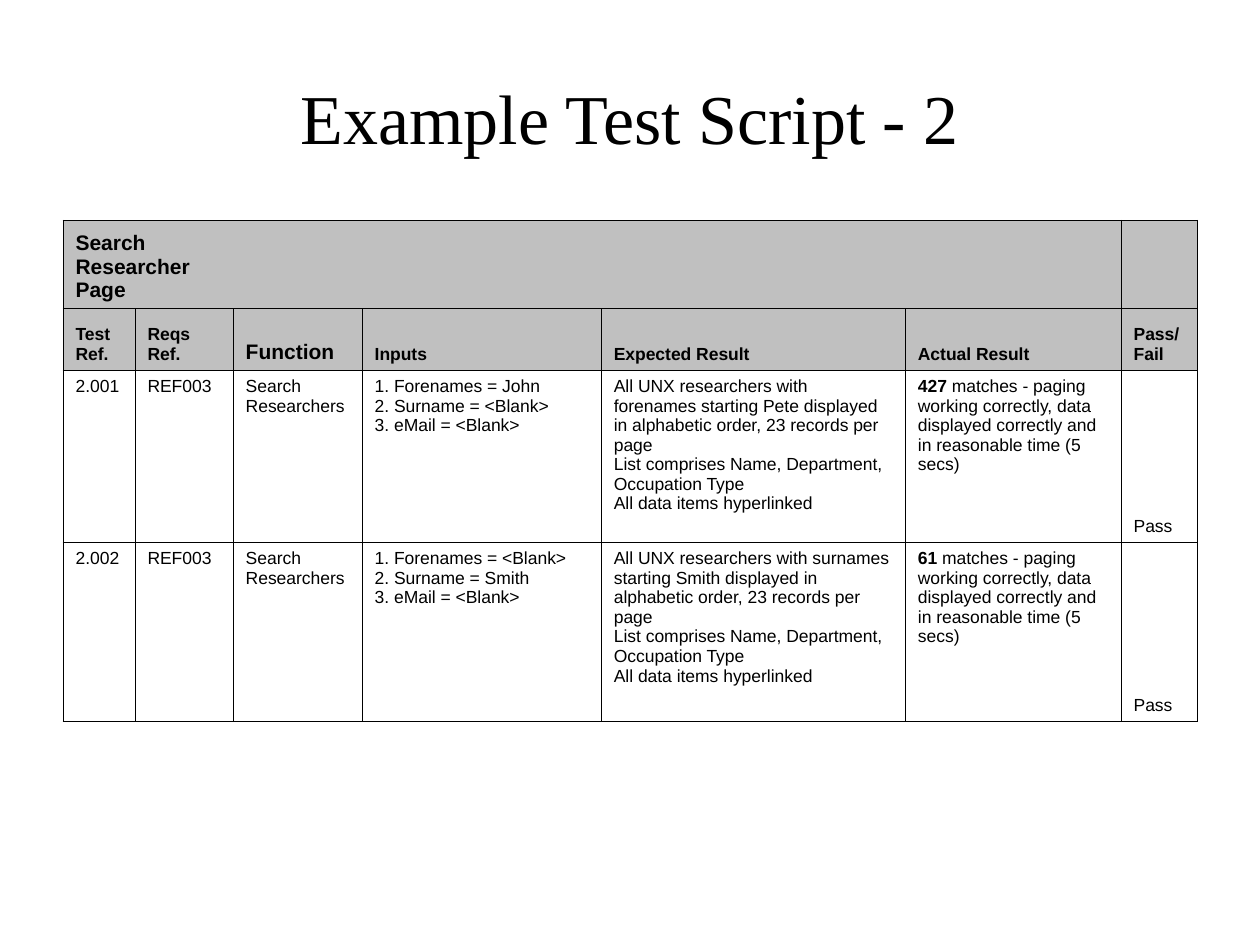
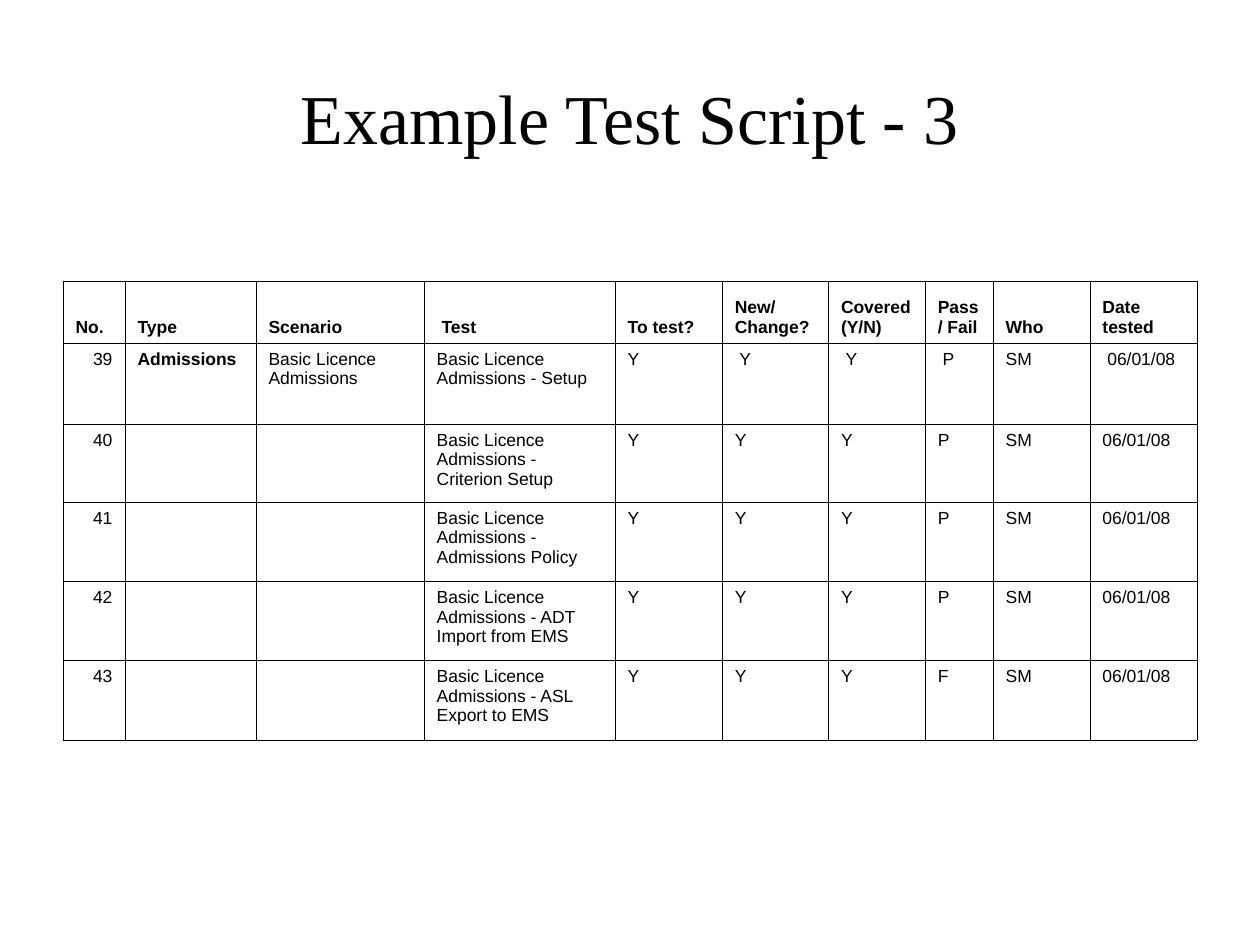
from lxml import etree
from pptx import Presentation
from pptx.dml.color import RGBColor
from pptx.enum.text import MSO_ANCHOR, PP_ALIGN
from pptx.oxml.ns import qn
from pptx.util import Cm, Pt

CENTER, RIGHT, LEFT = PP_ALIGN.CENTER, PP_ALIGN.RIGHT, PP_ALIGN.LEFT
TOP, MIDDLE, BOTTOM = MSO_ANCHOR.TOP, MSO_ANCHOR.MIDDLE, MSO_ANCHOR.BOTTOM
COLORS = {"ink": "000000", "header": "C0C0C0"}
TITLE_FONT, TABLE_FONT = "Times New Roman", "Arial"
MARGIN, CONTENT_WIDTH = Cm(1.27), Cm(22.86)
BORDER_WIDTH = Pt(0.45)


def style_font(font, name, size, bold=False):
    font.name, font.size, font.bold = name, Pt(size), bold
    font.color.rgb = RGBColor.from_string(COLORS["ink"])


def set_borders(cell, hidden_sides):
    properties = cell._tc.get_or_add_tcPr()
    for side in "LRTB":
        line = etree.SubElement(properties, qn(f"a:ln{side}"), w=str(BORDER_WIDTH))
        if side in hidden_sides:
            etree.SubElement(line, qn("a:noFill"))
        else:
            fill = etree.SubElement(line, qn("a:solidFill"))
            etree.SubElement(fill, qn("a:srgbClr"), val=COLORS["ink"])


# Table wording: text before a bar is bold
matches = "matches - paging working correctly, data displayed correctly and in reasonable time (5 secs)"
expected = ("All UNX researchers with {} displayed in alphabetic order, 23 records per page\n"
            "List comprises Name, Department, Occupation Type\nAll data items hyperlinked")
search_rows = [
    ["Search Researcher Page"] + [""] * 6,
    ["Test Ref.", "Reqs\nRef.", "Function", "Inputs", "Expected Result", "Actual Result", "Pass/Fail"],
    ["2.001", "REF003", "Search Researchers",
     "1. Forenames = John\n2. Surname = <Blank>\n3. eMail = <Blank>",
     expected.format("forenames starting Pete"), f"427| {matches}", "Pass"],
    ["2.002", "REF003", "Search Researchers",
     "1. Forenames = <Blank>\n2. Surname = Smith\n3. eMail = <Blank>",
     expected.format("surnames starting Smith"), f"61| {matches}", "Pass"],
]
licence_rows = [
    ["No.", "Type", "Scenario", " Test", "To test?", "New/ Change?", "Covered (Y/N)",
     "Pass/ Fail", "Who", "Date tested"],
    ["39", "Admissions|", "Basic Licence Admissions", "Basic Licence Admissions - Setup",
     "Y", " Y", " Y", " P", "SM", " 06/01/08"],
]
later_tests = [("Criterion Setup", "P"), ("Admissions Policy", "P"),
               ("ADT Import from EMS", "P"), ("ASL Export to EMS", "F")]
for number, (test, result) in enumerate(later_tests, start=40):
    licence_rows.append([str(number), "", "", f"Basic Licence Admissions - {test}",
                         "Y", "Y", "Y", result, "SM", "06/01/08"])

# What differs from page to page; banner_columns counts the open cells of the top row
pages = [
    {"title": "Example Test Script - 2", "top": 4.44, "rows": search_rows,
     "widths": [1.45, 1.98, 2.6, 4.82, 6.13, 4.35, 1.53],
     "heights": [1.78, 1.25, 3.47, 3.6],
     "header_rows": 2, "header_fill": True, "banner_columns": 6,
     "large_texts": ["Search Researcher Page", "Function"],
     "bottom_columns": [6], "right_columns": []},
    {"title": "Example Test Script - 3", "top": 5.67, "rows": licence_rows,
     "widths": [1.25, 2.64, 3.39, 3.85, 2.16, 2.14, 1.95, 1.37, 1.95, 2.16],
     "heights": [1.25, 1.63, 1.57, 1.6, 1.6, 1.6],
     "header_rows": 1, "header_fill": False, "banner_columns": 0,
     "large_texts": [], "bottom_columns": [], "right_columns": [0]},
]

deck = Presentation()
deck.slide_width, deck.slide_height = Cm(25.4), Cm(19.05)

for content in pages:
    page = deck.slides.add_slide(deck.slide_layouts[6])

    # Title
    box = page.shapes.add_textbox(MARGIN, Cm(0.76), CONTENT_WIDTH, Cm(3.18))
    frame = box.text_frame
    frame.word_wrap = True
    frame.vertical_anchor = MIDDLE
    para = frame.paragraphs[0]
    para.text = content["title"]
    para.alignment = CENTER
    style_font(para.font, TITLE_FONT, 40)

    # Table grid
    widths, heights = content["widths"], content["heights"]
    table = page.shapes.add_table(len(heights), len(widths), MARGIN, Cm(content["top"]),
                                  CONTENT_WIDTH, Cm(sum(heights))).table
    table.first_row = table.horz_banding = False
    for column, width in zip(table.columns, widths):
        column.width = Cm(width)
    for row, height in zip(table.rows, heights):
        row.height = Cm(height)
    banner_end = content["banner_columns"] - 1
    if banner_end > 0:
        table.cell(0, 0).merge(table.cell(0, 1))

    # Table cells
    for row_index, texts in enumerate(content["rows"]):
        is_header = row_index < content["header_rows"]
        for column_index, text in enumerate(texts):
            cell = table.cell(row_index, column_index)
            hidden_sides = ""
            if row_index == 0 and column_index <= banner_end:
                hidden_sides += "L" if column_index > 0 else ""
                hidden_sides += "R" if column_index < banner_end else ""
            set_borders(cell, hidden_sides)
            if is_header and content["header_fill"]:
                cell.fill.solid()
                cell.fill.fore_color.rgb = RGBColor.from_string(COLORS["header"])
            else:
                cell.fill.background()

            at_bottom = is_header or column_index in content["bottom_columns"]
            cell.vertical_anchor = BOTTOM if at_bottom else TOP
            para = cell.text_frame.paragraphs[0]
            to_right = not is_header and column_index in content["right_columns"]
            para.alignment = RIGHT if to_right else LEFT
            style_font(para.font, TABLE_FONT, 12 if text in content["large_texts"] else 10, is_header)
            bold_text, bar, plain_text = text.partition("|")
            para.text = bold_text
            if bar:
                para.runs[0].font.bold = True
            if plain_text:
                span = para.add_run()
                span.text = plain_text

deck.save("out.pptx")
